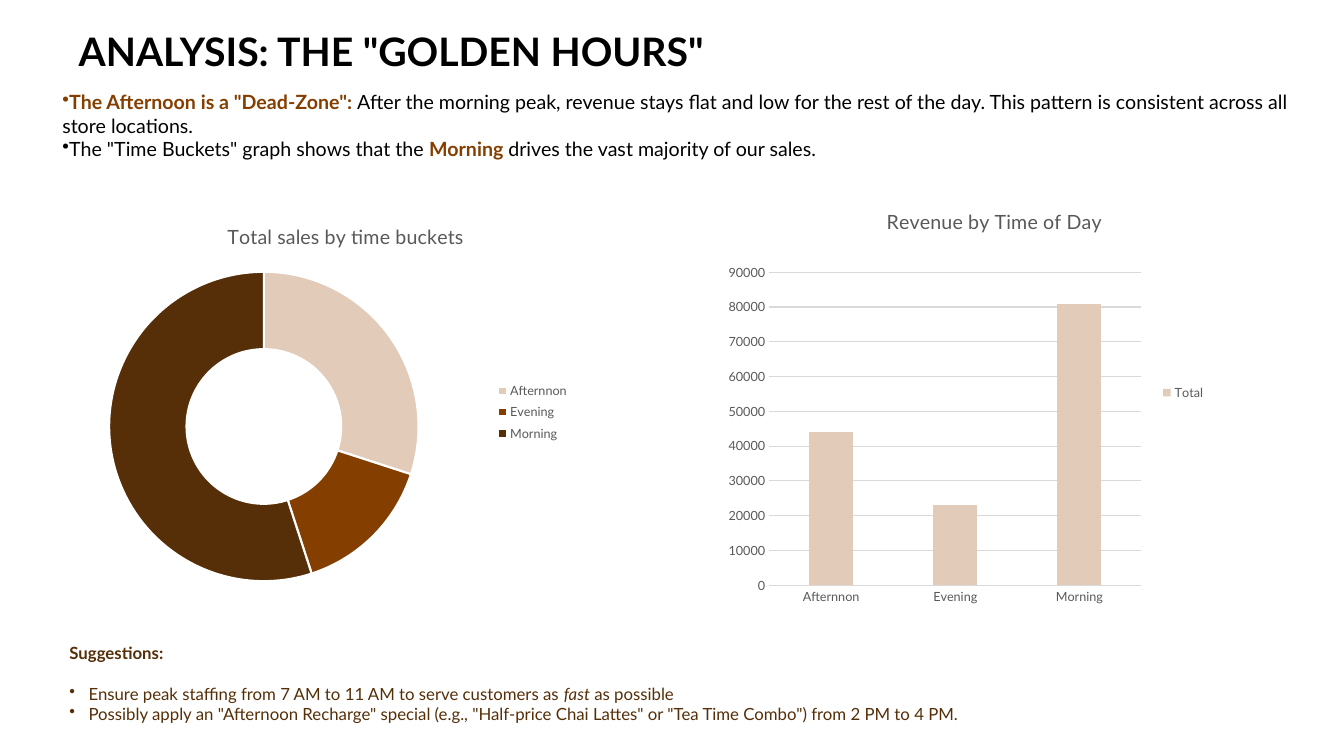
from dataclasses import dataclass

from lxml import etree
from pptx import Presentation
from pptx.chart import data as chart_data
from pptx.dml.color import RGBColor
from pptx.enum import chart as chart_enum, text as text_enum
from pptx.oxml import ns
from pptx.util import Pt


@dataclass(frozen=True)
class Theme:
    """Colours, typeface and type sizes of the slide."""
    black: str = "000000"
    white: str = "FFFFFF"
    sand: str = "E2CBB9"
    brown: str = "843F00"
    espresso: str = "562F08"
    label: str = "595959"
    grid: str = "D9D9D9"
    typeface: str = "Lato"
    heading: float = 28
    body: float = 14
    advice: float = 12
    legend: float = 9


THEME = Theme()
BUCKETS = ["Afternnon", "Evening", "Morning"]


def rgb(colour):
    """Turn a hex string into a colour."""
    return RGBColor.from_string(colour)


def style(font, size, colour, bold=False):
    """Apply typeface, size, colour and weight."""
    font.name, font.size, font.bold = THEME.typeface, Pt(size), bold
    font.color.rgb = rgb(colour)


def add_bullet(paragraph, hang):
    """Give a paragraph a round bullet with a hanging indent."""
    properties = paragraph._p.get_or_add_pPr()
    properties.set("marL", str(Pt(hang)))
    properties.set("indent", str(-Pt(hang)))
    etree.SubElement(properties, ns.qn("a:buChar"), char="•")


def add_text_box(slide, left, top, width, height, anchor):
    """Add a wrapping text box and return its text frame."""
    frame = slide.shapes.add_textbox(Pt(left), Pt(top), Pt(width), Pt(height)).text_frame
    frame.word_wrap = True
    frame.vertical_anchor = anchor
    return frame


def add_heading(slide, wording):
    """Fill and place the title placeholder."""
    title = slide.shapes.title
    title.left, title.top, title.width, title.height = Pt(49), Pt(10.8), Pt(810.7), Pt(50.4)
    frame = title.text_frame
    frame.margin_top = frame.margin_bottom = 0
    frame.vertical_anchor = text_enum.MSO_ANCHOR.MIDDLE
    frame.text = wording
    heading = frame.paragraphs[0]
    heading.alignment = text_enum.PP_ALIGN.LEFT
    style(heading.font, THEME.heading, THEME.black, True)


def add_findings(slide, findings):
    """Add bulleted findings whose key phrases are bold and brown."""
    frame = add_text_box(slide, 37.4, 60.5, 922.3, 58.3, text_enum.MSO_ANCHOR.MIDDLE)
    for number, phrases in enumerate(findings):
        finding = frame.add_paragraph() if number else frame.paragraphs[0]
        add_bullet(finding, 0)
        for wording, is_key in phrases:
            phrase = finding.add_run()
            phrase.text = wording
            style(phrase.font, THEME.body, THEME.brown if is_key else THEME.black, is_key)


def add_suggestions(slide, label, suggestions):
    """Add a bold label followed by bulleted suggestions."""
    frame = add_text_box(slide, 42.5, 450, 879.8, 90, text_enum.MSO_ANCHOR.TOP)
    frame.margin_top = Pt(9.4)
    frame.text = label
    style(frame.paragraphs[0].font, THEME.advice, THEME.espresso, True)
    for number, phrases in enumerate(suggestions):
        suggestion = frame.add_paragraph()
        add_bullet(suggestion, 13.7)
        if number == 0:
            suggestion.space_before = Pt(14.4)
        style(suggestion.font, THEME.advice, THEME.espresso)
        for wording, is_italic in phrases:
            phrase = suggestion.add_run()
            phrase.text = wording
            if is_italic:
                phrase.font.italic = True


def place_part(chart, part, left, top, width=None, height=None):
    """Fix a chart part at fractions of the chart area."""
    element = chart._chartSpace.xpath(f"c:chart/c:{part}")[0]
    for automatic in element.findall(ns.qn("c:layout")):
        element.remove(automatic)
    layout = etree.Element(ns.qn("c:layout"))
    manual = etree.SubElement(layout, ns.qn("c:manualLayout"))
    settings = [("xMode", "edge"), ("yMode", "edge"), ("x", left), ("y", top), ("w", width), ("h", height)]
    if part == "plotArea":
        settings.insert(0, ("layoutTarget", "inner"))
    for tag, value in settings:
        if value is not None:
            etree.SubElement(manual, ns.qn(f"c:{tag}"), val=str(value))
    element.insert(0 if part == "plotArea" else 1, layout)


def add_sales_chart(slide, kind, area, title, series_name, values, title_at, plot_at):
    """Add a chart of the time buckets with title and right-hand legend."""
    sales = chart_data.CategoryChartData()
    sales.categories = BUCKETS
    sales.add_series(series_name, values)
    chart = slide.shapes.add_chart(kind, *map(Pt, area), sales).chart
    style(chart.font, 10, THEME.black)
    chart.has_title = True
    chart.chart_title.text_frame.text = title
    chart.chart_title.include_in_layout = False
    style(chart.chart_title.text_frame.paragraphs[0].font, THEME.body, THEME.label)
    chart.has_legend = True
    chart.legend.position = chart_enum.XL_LEGEND_POSITION.RIGHT
    chart.legend.include_in_layout = False
    style(chart.legend.font, THEME.legend, THEME.label)
    place_part(chart, "title", *title_at)
    place_part(chart, "plotArea", *plot_at)
    return chart


def add_revenue_columns(slide):
    """Add the column chart of revenue by time of day."""
    chart = add_sales_chart(
        slide, chart_enum.XL_CHART_TYPE.COLUMN_CLUSTERED, (508.3, 119.5, 360, 321.8),
        "Revenue by Time of Day", "Total", (44000, 23000, 81000),
        (0.34, 0.08), (0.114, 0.233, 0.739, 0.695))
    columns = chart.plots[0]
    columns.gap_width = 182
    columns.vary_by_categories = False
    fill = columns.series[0].format.fill
    fill.solid()
    fill.fore_color.rgb = rgb(THEME.sand)
    buckets, revenue = chart.category_axis, chart.value_axis
    for axis in (buckets, revenue):
        axis.major_tick_mark = axis.minor_tick_mark = chart_enum.XL_TICK_MARK.NONE
        style(axis.tick_labels.font, THEME.legend, THEME.label)
    revenue.minimum_scale, revenue.maximum_scale, revenue.major_unit = 0, 90000, 10000
    revenue.format.line.fill.background()
    for line in (buckets.format.line, revenue.major_gridlines.format.line):
        line.color.rgb = rgb(THEME.grid)
        line.width = Pt(0.75)


def add_sales_ring(slide):
    """Add the doughnut chart of sales by time bucket."""
    chart = add_sales_chart(
        slide, chart_enum.XL_CHART_TYPE.DOUGHNUT, (59.8, 141.8, 370.8, 290.9),
        "Total sales by time buckets", "Series 1", (30, 15, 55),
        (0.27, 0.05), (0.049, 0.18, 0.596, 0.76))
    place_part(chart, "legend", 0.78, 0.44, 0.17, 0.17)
    chart._chartSpace.xpath(".//c:holeSize")[0].set("val", "75")
    for number, colour in enumerate((THEME.sand, THEME.brown, THEME.espresso)):
        slice_format = chart.plots[0].series[0].points[number].format
        slice_format.fill.solid()
        slice_format.fill.fore_color.rgb = rgb(colour)
        slice_format.line.color.rgb = rgb(THEME.white)
        slice_format.line.width = Pt(1.5)


def main():
    """Build the slide and save it."""
    deck = Presentation()
    deck.slide_width, deck.slide_height = Pt(960), Pt(540)
    slide = deck.slides.add_slide(deck.slide_layouts.get_by_name("Title Only"))
    add_heading(slide, 'ANALYSIS: THE "GOLDEN HOURS"')
    add_suggestions(slide, "Suggestions:", [
        [("Ensure peak staffing from 7 AM to 11 AM to serve customers as ", False),
         ("fast", True), (" as possible", False)],
        [('Possibly apply an "Afternoon Recharge" special (e.g., "Half-price Chai Lattes" '
          'or "Tea Time Combo") from 2 PM to 4 PM.', False)]])
    add_revenue_columns(slide)
    add_sales_ring(slide)
    add_findings(slide, [
        [('The Afternoon is a "Dead-Zone": ', True),
         ("After the morning peak, revenue stays flat and low for the rest of the day. "
          "This pattern is consistent across all store locations.", False)],
        [('The "Time Buckets" graph shows that the ', False), ("Morning ", True),
         ("drives the vast majority of our sales.", False)]])
    deck.save("out.pptx")


if __name__ == "__main__":
    main()
